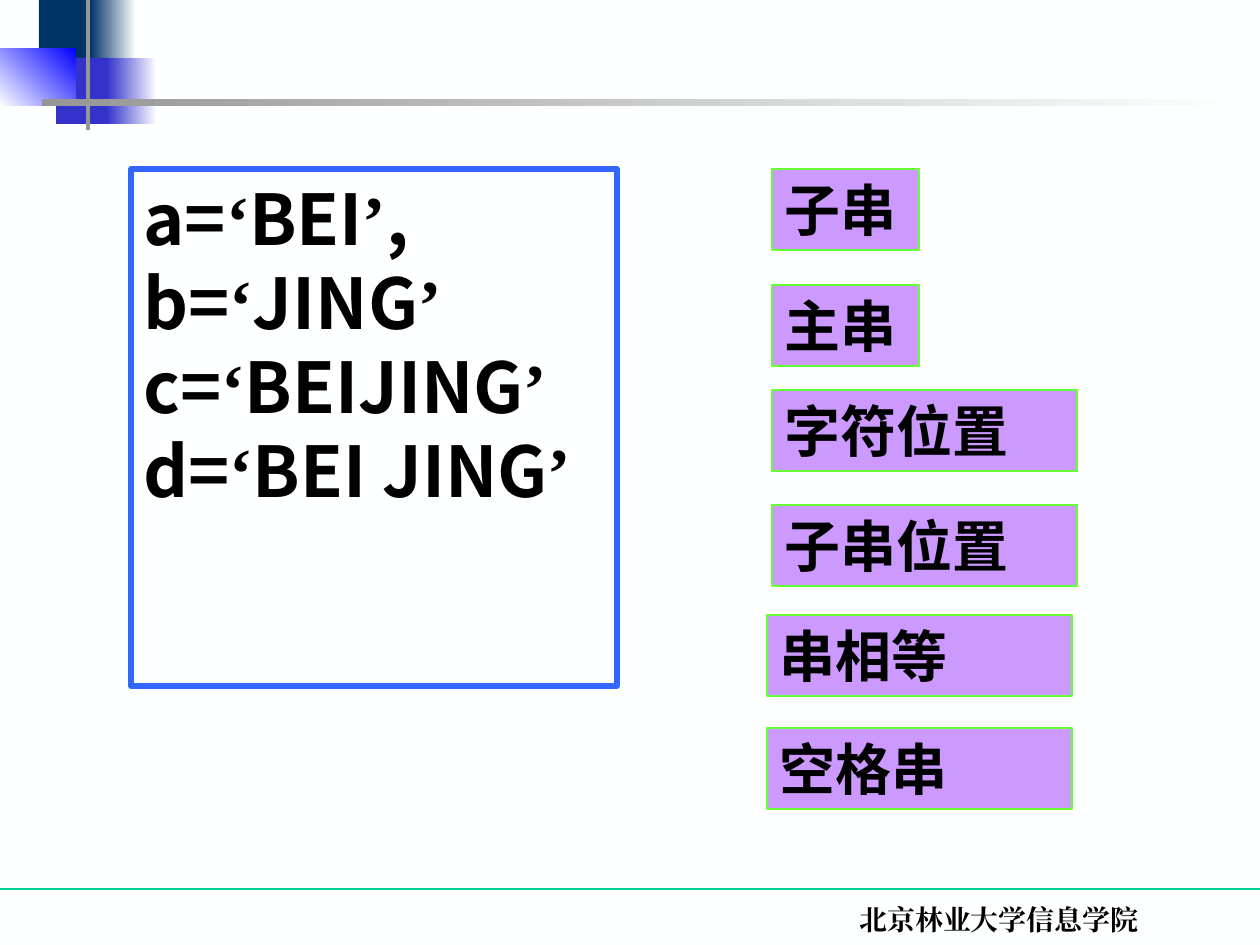
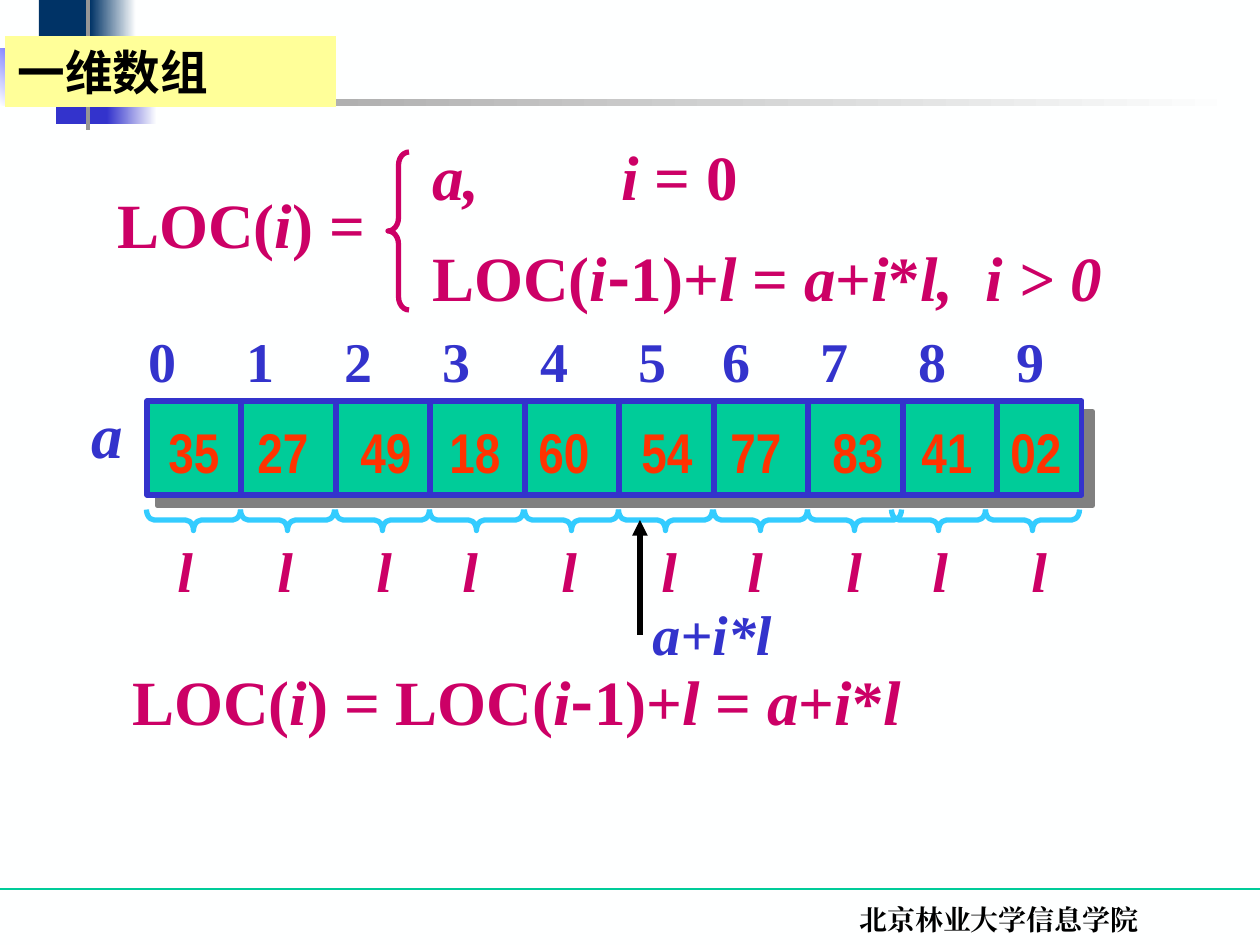
from lxml import etree
from pptx import Presentation
from pptx.dml.color import RGBColor
from pptx.enum.shapes import MSO_CONNECTOR, MSO_SHAPE
from pptx.enum.text import MSO_ANCHOR, PP_ALIGN
from pptx.oxml.ns import qn
from pptx.util import Emu, Pt

RECT = MSO_SHAPE.RECTANGLE
BRACE = MSO_SHAPE.LEFT_BRACE
STRAIGHT = MSO_CONNECTOR.STRAIGHT
TOP, MIDDLE = MSO_ANCHOR.TOP, MSO_ANCHOR.MIDDLE
LEFT, CENTER = PP_ALIGN.LEFT, PP_ALIGN.CENTER

PAPER = RGBColor(0xFE, 0xFF, 0xFF)
BLACK = RGBColor(0x00, 0x00, 0x00)
NAVY = RGBColor(0x00, 0x33, 0x66)
INDIGO = RGBColor(0x33, 0x33, 0xCC)
BLUE = RGBColor(0x00, 0x00, 0xFF)
GRAY = RGBColor(0x96, 0x96, 0x96)
GREEN = RGBColor(0x00, 0xCC, 0x99)
FRAME_BLUE = RGBColor(0x33, 0x66, 0xFF)
LILAC = RGBColor(0xCC, 0x99, 0xFF)
LIME = RGBColor(0x66, 0xFF, 0x33)
YELLOW = RGBColor(0xFF, 0xFF, 0x99)
ORANGE = RGBColor(0xFF, 0x33, 0x00)
SKY = RGBColor(0x33, 0xCC, 0xFF)
MAGENTA = RGBColor(0xCC, 0x00, 0x66)
SHADOW_GRAY = RGBColor(0x80, 0x80, 0x80)

SERIF = "Times New Roman"
SANS = "Noto Sans CJK SC"
NARROW = "Arial Narrow"

PX_PER_INCH = 126
WIDTH, HEIGHT = 1260, 945
LEADING = 1.2

UPRIGHT = {"italic": False}
SLANTED = {"italic": True}
HYPHEN = {"italic": False, "name": SANS}
QUOTE = {"name": SERIF}


def px(length):
    return Emu(round(length * 914400 / PX_PER_INCH))


class Deck:
    def __init__(self):
        self.prs = Presentation()
        self.prs.slide_width, self.prs.slide_height = px(WIDTH), px(HEIGHT)
        self.slide = None

    def new_slide(self):
        self.slide = self.prs.slides.add_slide(self.prs.slide_layouts[6])
        background = self.slide.background.fill
        background.solid()
        background.fore_color.rgb = PAPER
        self.line((0, 889), (WIDTH, 889), GREEN, 0.75)
        self.rect((39, 0, 60, 66), NAVY)
        self.gradient((90, 0, 46, 66), NAVY, PAPER)
        self.rect((56, 58, 57, 66), INDIGO)
        self.gradient((107, 58, 50, 66), INDIGO, PAPER)
        self.gradient((0, 48, 76, 58), PAPER, BLUE, 45)
        self.rect((86, 0, 4, 130), GRAY)
        self.gradient((42, 99, 1198, 7), GRAY, PAPER)
        self.text((738, 896, 522, 49), ["北京林业大学信息学院"], SERIF, 16, align=CENTER)

    def shape(self, kind, box):
        shape = self.slide.shapes.add_shape(kind, *map(px, box))
        shape.shadow.inherit = False
        return shape

    def outline(self, shape, color, width):
        if color is None:
            shape.line.fill.background()
        else:
            shape.line.color.rgb = color
            shape.line.width = Pt(width)

    def rect(self, box, fill=None, edge=None, edge_width=0.75):
        shape = self.shape(RECT, box)
        if fill is None:
            shape.fill.background()
        else:
            shape.fill.solid()
            shape.fill.fore_color.rgb = fill
        self.outline(shape, edge, edge_width)
        return shape

    def gradient(self, box, start, end, angle=0):
        shape = self.rect(box)
        shape.fill.gradient()
        shape.fill.gradient_angle = angle
        for stop, color in zip(shape.fill.gradient_stops, (start, end)):
            stop.color.rgb = color

    def drop_shadow(self, shape, color, distance):
        effects = shape._element.spPr.find(qn("a:effectLst"))
        shadow = etree.SubElement(effects, qn("a:outerShdw"), dist=str(Pt(distance)),
                                  dir="2700000", algn="tl", rotWithShape="0")
        etree.SubElement(shadow, qn("a:srgbClr"), val=str(color))

    def line(self, start, end, color, width, arrow=False):
        line = self.slide.shapes.add_connector(STRAIGHT, *map(px, start + end))
        self.outline(line, color, width)
        if arrow:
            etree.SubElement(line.line._get_or_add_ln(), qn("a:tailEnd"), type="triangle")
        etree.SubElement(line._element.spPr, qn("a:effectLst"))

    def brace(self, box, color, rotation=0):
        brace = self.shape(BRACE, box)
        brace.fill.background()
        self.outline(brace, color, 3)
        brace.adjustments[0] = box[3] / 12 / box[2]
        brace.rotation = rotation

    def text(self, box, paragraphs, font, size, color=BLACK, **options):
        holder = self.slide.shapes.add_textbox(*map(px, box))
        self.fill_text(holder, paragraphs, font, size, color, **options)

    def fill_text(self, holder, paragraphs, font, size, color=BLACK, italic=False,
                  align=LEFT, anchor=TOP, tabs=()):
        frame = holder.text_frame
        frame.word_wrap = True
        frame.vertical_anchor = anchor
        for index, runs in enumerate(paragraphs):
            paragraph = frame.paragraphs[0] if index == 0 else frame.add_paragraph()
            if tabs:
                tab_list = etree.SubElement(paragraph._p.get_or_add_pPr(), qn("a:tabLst"))
                for tab in tabs:
                    etree.SubElement(tab_list, qn("a:tab"), pos=str(px(tab)), algn="l")
            paragraph.alignment = align
            paragraph.line_spacing = Pt(round(size * LEADING, 1))
            for words, changes in [(runs, {})] if isinstance(runs, str) else runs:
                run = paragraph.add_run()
                run.text = words
                style = {"name": font, "size": Pt(size), "bold": True, "italic": italic, **changes}
                for name, value in style.items():
                    setattr(run.font, name, value)
                run.font.color.rgb = color
                etree.SubElement(run._r.get_or_add_rPr(), qn("a:ea"), typeface=style["name"])

    def label(self, box, words, size, fill, edge=None):
        self.fill_text(self.rect(box, fill, edge), [words], SANS, size, anchor=MIDDLE)

    def formula(self, box, runs, tabs=()):
        self.text(box, [runs], SERIF, 36, MAGENTA, tabs=tabs)

    def row(self, box, items, tabs, font, color, italic=False):
        self.text(box, ["\t".join(items)], font, 32, color, italic=italic, tabs=tabs)


def assignment(name, value, ending=""):
    runs = [(f"{name}=", {}), ("‘", QUOTE), (value, {}), ("’", QUOTE)]
    return runs + [(ending, {})] if ending else runs


def string_terms(deck):
    deck.new_slide()
    examples = deck.rect((131, 169, 486, 517), edge=FRAME_BLUE, edge_width=3)
    deck.fill_text(examples, [
        assignment("a", "BEI", ","),
        assignment("b", "JING"),
        assignment("c", "BEIJING"),
        assignment("d", "BEI JING"),
    ], SANS, 40)
    for term, left, top, width in (
        ("子串", 772, 169, 147),
        ("主串", 772, 285, 147),
        ("字符位置", 772, 390, 305),
        ("子串位置", 772, 505, 305),
        ("串相等", 767, 615, 305),
        ("空格串", 767, 728, 305),
    ):
        deck.label((left, top, width, 81), term, 32, LILAC, LIME)


def one_dimensional_array(deck):
    deck.new_slide()
    deck.label((5, 36, 331, 71), "一维数组", 27.2, YELLOW)

    array_left, array_top, array_bottom, array_width = 147, 401, 495, 935
    cells = deck.rect((array_left, array_top, array_width, array_bottom - array_top),
                      GREEN, INDIGO, 3)
    deck.drop_shadow(cells, SHADOW_GRAY, 8.5)
    edges = [array_left + 189 * index // 2 for index in range(10)]
    for edge in edges[1:]:
        deck.line((edge, array_top), (edge, array_bottom), INDIGO, 3)
    deck.row((156, 411, 930, 81), "35 27 49 18 60 54 77 83 41 02".split(),
             (89, 192, 281, 370, 473, 562, 664, 753, 842), NARROW, ORANGE)
    deck.row((136, 320, 940, 81), "0123456789",
             (98, 196, 294, 392, 490, 574, 672, 770, 868), SERIF, INDIGO)

    length, depth = 94, 21
    for start in edges[:8] + [edge - 11 for edge in edges[8:]]:
        deck.brace((start + (length - depth) // 2, 473, depth, length), SKY, 270)
    deck.row((165, 530, 940, 81), "l" * 10,
             (100, 199, 285, 384, 484, 570, 669, 755, 854), SERIF, MAGENTA, True)

    location = [("LOC(", UPRIGHT), ("i", SLANTED)]
    step = location + [("-", HYPHEN), ("1)+", UPRIGHT), ("l", SLANTED), (" = ", UPRIGHT),
                       ("a", SLANTED), ("+", UPRIGHT), ("i", SLANTED), ("*", UPRIGHT)]
    deck.formula((120, 656, 1057, 88),
                 location + [(") = ", UPRIGHT)] + step + [("l", SLANTED)])
    deck.brace((388, 152, 21, 158), MAGENTA)
    deck.formula((105, 179, 283, 88), location + [(") =", UPRIGHT)])
    deck.formula((420, 232, 724, 88), step + [("l,\ti > 0", SLANTED)], (553,))
    deck.formula((420, 131, 410, 88), [("a,\ti ", SLANTED), ("= 0", UPRIGHT)], (189,))

    deck.line((640, 635), (640, 520), BLACK, 3, arrow=True)
    for words, size, box in (("a+i*l", 32, (640, 593, 150, 81)), ("a", 36, (79, 389, 57, 88))):
        deck.text(box, [words], SERIF, size, INDIGO, italic=True)


def main():
    deck = Deck()
    string_terms(deck)
    one_dimensional_array(deck)
    deck.prs.save("out.pptx")


if __name__ == "__main__":
    main()
